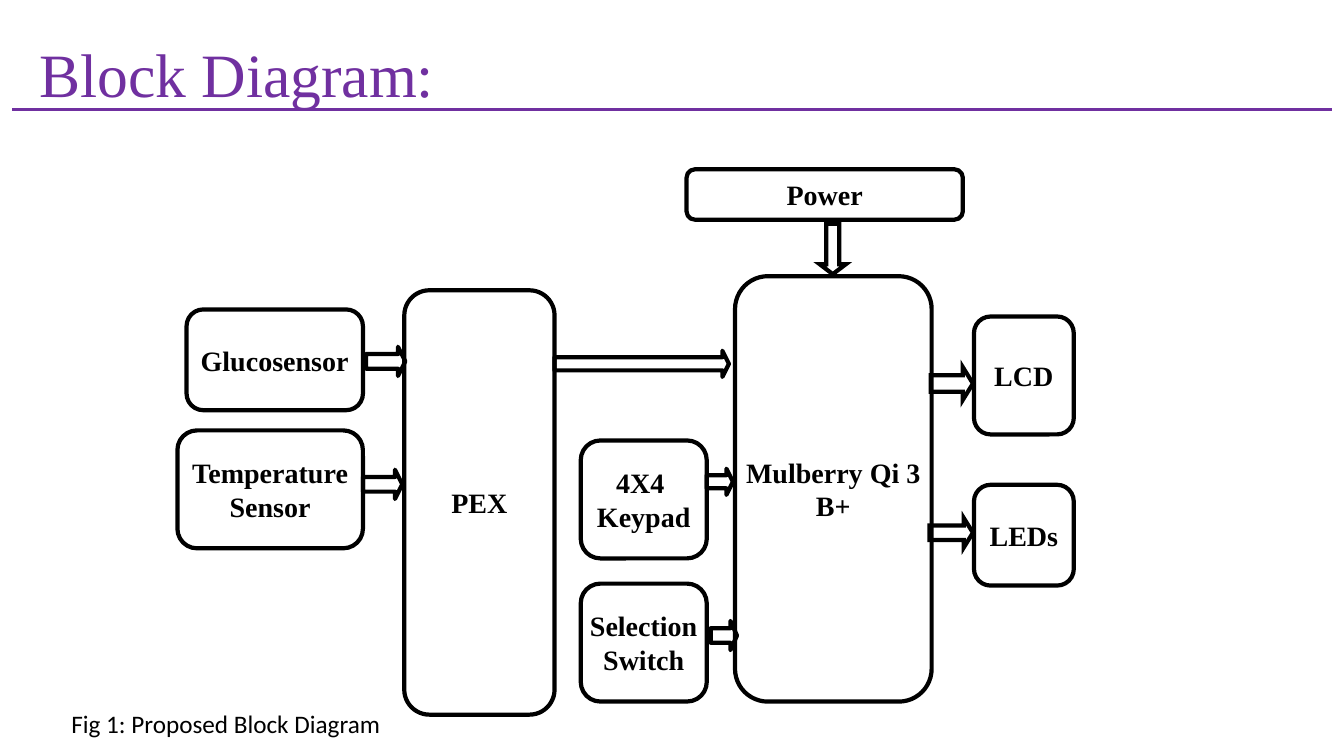
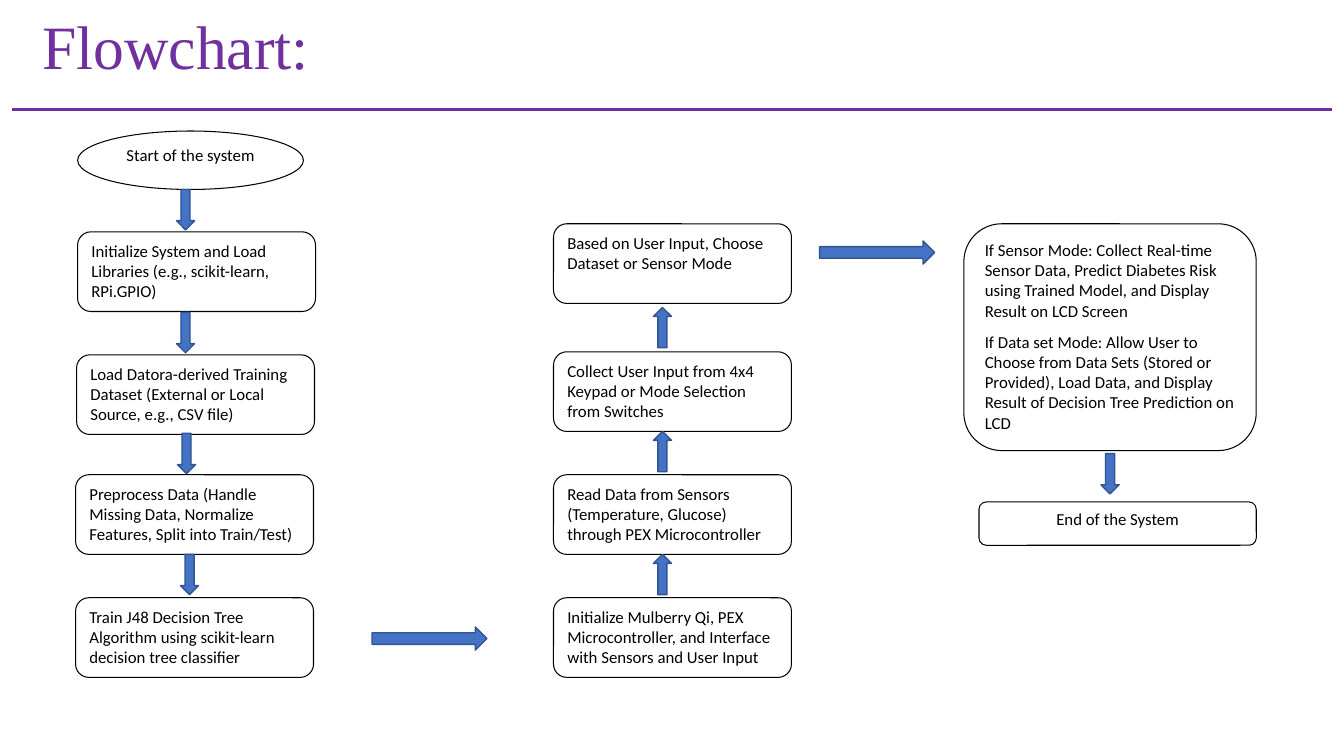
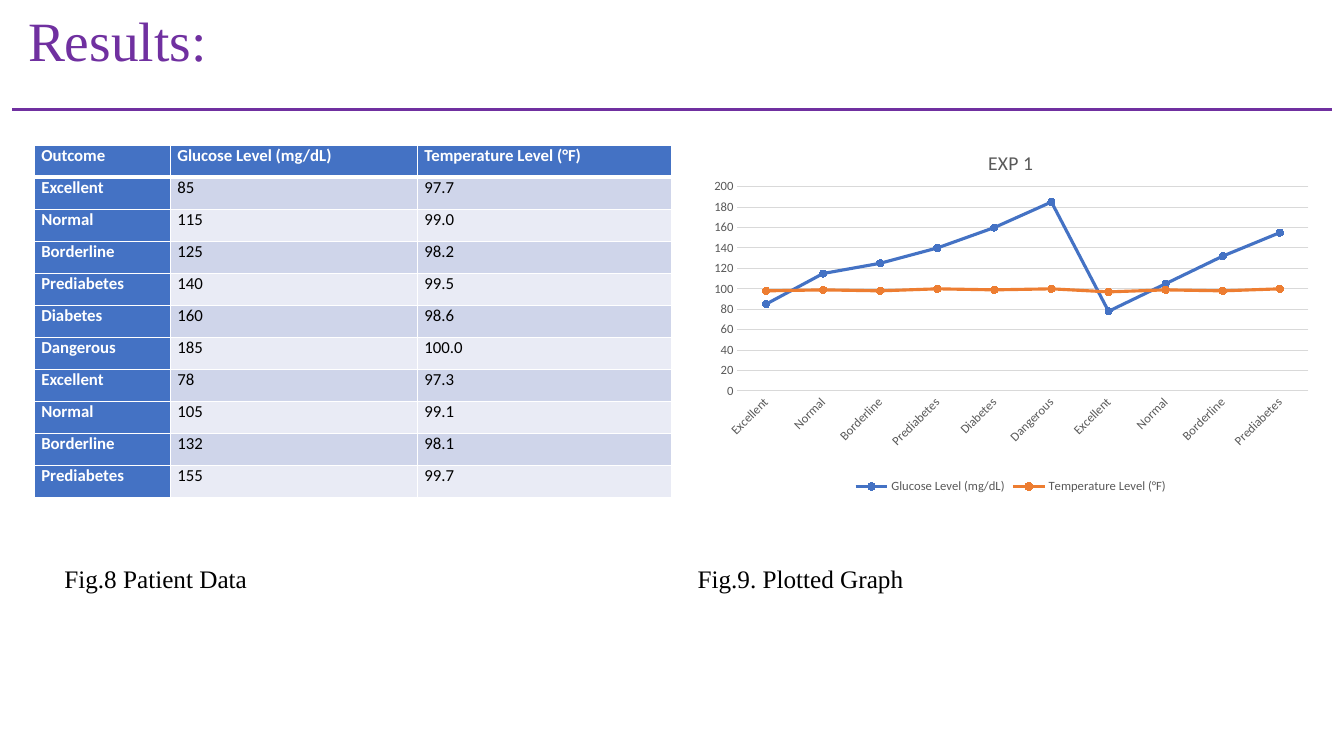
from lxml import etree
from pptx import Presentation
from pptx.chart.data import CategoryChartData
from pptx.dml.color import RGBColor
from pptx.enum.chart import XL_CHART_TYPE, XL_LEGEND_POSITION, XL_MARKER_STYLE, XL_TICK_MARK
from pptx.enum.shapes import MSO_CONNECTOR, MSO_SHAPE
from pptx.enum.text import MSO_ANCHOR, PP_ALIGN
from pptx.oxml import parse_xml
from pptx.oxml.ns import nsdecls, qn
from pptx.util import Inches, Pt

ROUNDED = MSO_SHAPE.ROUNDED_RECTANGLE
OVAL = MSO_SHAPE.OVAL
RIGHT = MSO_SHAPE.RIGHT_ARROW
DOWN = MSO_SHAPE.DOWN_ARROW
UP = MSO_SHAPE.UP_ARROW
STRAIGHT = MSO_CONNECTOR.STRAIGHT
LEFT_ALIGN = PP_ALIGN.LEFT
CENTER = PP_ALIGN.CENTER
TOP = MSO_ANCHOR.TOP
MIDDLE = MSO_ANCHOR.MIDDLE
LINE_MARKERS = XL_CHART_TYPE.LINE_MARKERS
LEGEND_BOTTOM = XL_LEGEND_POSITION.BOTTOM
CIRCLE = XL_MARKER_STYLE.CIRCLE
NO_TICK = XL_TICK_MARK.NONE

SERIF = "Times New Roman"
SANS = "Calibri"
PURPLE = "7030A0"
BLACK = "000000"
WHITE = "FFFFFF"
BLUE = "4472C4"
DARK_BLUE = "325491"
ORANGE = "ED7D31"
GRAY = "595959"
GRID_GRAY = "D9D9D9"
BANDS = ("CFD5EA", "E9EBF5")

HEADINGS = ("Outcome", "Glucose Level (mg/dL)", "Temperature Level (°F)")
READINGS = [
    ("Excellent", 85, 97.7),
    ("Normal", 115, 99.0),
    ("Borderline", 125, 98.2),
    ("Prediabetes", 140, 99.5),
    ("Diabetes", 160, 98.6),
    ("Dangerous", 185, 100.0),
    ("Excellent", 78, 97.3),
    ("Normal", 105, 99.1),
    ("Borderline", 132, 98.1),
    ("Prediabetes", 155, 99.7),
]

BLOCKS = [
    ("Power", 6.81, 1.68, 2.74, 0.5),
    ("LEDs", 9.66, 4.81, 0.99, 1),
    ("LCD", 9.66, 3.14, 0.99, 1.17),
    ("PEX", 4.01, 2.88, 1.49, 4.21),
    ("Glucosensor", 1.85, 3.07, 1.75, 1),
    ("Temperature\nSensor", 1.76, 4.27, 1.84, 1.17),
    ("4X4 \nKeypad", 5.76, 4.37, 1.25, 1.17),
    ("Selection\nSwitch", 5.76, 5.79, 1.25, 1.17),
    ("Mulberry Qi 3\nB+", 7.29, 2.74, 1.95, 4.22),
]
SENSOR_ARROWS = [
    (RIGHT, 3.63, 3.44, 0.39, 0.29, 0.25),
    (RIGHT, 3.6, 4.66, 0.39, 0.29, 0.25),
    (RIGHT, 5.5, 3.48, 1.73, 0.26, 0.25),
    (RIGHT, 7.01, 4.65, 0.26, 0.26, 0.25),
    (RIGHT, 7.05, 6.16, 0.26, 0.29, 0.25),
]
SHARP_ARROWS = [
    (RIGHT, 9.23, 3.64, 0.42, 0.33, 0.31),
    (RIGHT, 9.22, 5.14, 0.43, 0.29, 0.31),
    (DOWN, 8.13, 2.22, 0.26, 0.5, 0.38),
]

TRAINING_STEPS = [
    (0.77, 2.3, "Initialize System and Load Libraries (e.g., scikit-learn, RPi.GPIO)"),
    (0.76, 3.52, "Load Datora-derived Training Dataset (External or Local Source, e.g., CSV file)"),
    (0.75, 4.71, "Preprocess Data (Handle Missing Data, Normalize Features, Split into Train/Test)"),
    (0.75, 5.93, "Train J48 Decision Tree Algorithm using scikit-learn decision tree classifier"),
]
INPUT_STEPS = [
    (2.22, "Based on User Input, Choose Dataset or Sensor Mode"),
    (3.49, "Collect User Input from 4x4 Keypad or Mode Selection from Switches"),
    (4.71, "Read Data from Sensors (Temperature, Glucose) through PEX Microcontroller"),
    (5.93, "Initialize Mulberry Qi, PEX Microcontroller, and Interface with Sensors and User Input"),
]
MODES = (
    "If Sensor Mode: Collect Real-time Sensor Data, Predict Diabetes Risk using "
    "Trained Model, and Display Result on LCD Screen\n"
    "If Data set Mode: Allow User to Choose from Data Sets (Stored or Provided), "
    "Load Data, and Display Result of Decision Tree Prediction on LCD"
)
FLOW_ARROWS = [
    (DOWN, 1.75, 1.88),
    (DOWN, 1.75, 3.1),
    (DOWN, 1.76, 4.3),
    (DOWN, 1.79, 5.5),
    (RIGHT, 3.69, 6.22),
    (UP, 6.48, 5.5),
    (UP, 6.48, 4.28),
    (UP, 6.48, 3.05),
    (RIGHT, 8.13, 2.39),
    (DOWN, 10.92, 4.5),
]


def rgb(value):
    return RGBColor.from_string(value)


def set_font(font, name, size, color, bold=False):
    font.name = name
    font.size = Pt(size)
    font.color.rgb = rgb(color)
    font.bold = bold


def write(frame, text, name, size, color=BLACK, bold=False, align=LEFT_ALIGN, after=0):
    frame.text = text
    for para in frame.paragraphs:
        para.alignment = align
        para.space_after = Pt(after)
        set_font(para.font, name, size, color, bold)


def add_shape(page, kind, place, line, weight, fill=None):
    shape = page.shapes.add_shape(kind, *map(Inches, place))
    shape.shadow.inherit = False
    if fill:
        shape.fill.solid()
        shape.fill.fore_color.rgb = rgb(fill)
    else:
        shape.fill.background()
    shape.line.color.rgb = rgb(line)
    shape.line.width = Pt(weight)
    return shape


def add_text(page, text, place, name, size, color=BLACK):
    box = page.shapes.add_textbox(*map(Inches, place))
    box.text_frame.word_wrap = True
    write(box.text_frame, text, name, size, color)
    return box


def add_page(deck, title, place, size=44):
    page = deck.slides.add_slide(deck.slide_layouts[6])
    ends = map(Inches, (0.12, 1.09, 13.21, 1.09))
    rule = page.shapes.add_connector(STRAIGHT, *ends)
    rule.line.color.rgb = rgb(PURPLE)
    rule.line.width = Pt(2.25)
    etree.SubElement(rule._element.spPr, qn("a:effectLst"))
    frame = add_text(page, title, place, SERIF, size, PURPLE).text_frame
    frame.vertical_anchor = MIDDLE
    frame.paragraphs[0].line_spacing = 0.9
    return page


def add_block(page, text, *place):
    block = add_shape(page, ROUNDED, place, BLACK, 3)
    block.text_frame.word_wrap = False
    write(block.text_frame, text, SERIF, 20, bold=True, align=CENTER)


def add_block_arrow(page, kind, left, top, width, height, head):
    arrow = add_shape(page, kind, (left, top, width, height), BLACK, 3)
    arrow.adjustments[1] = head
    return arrow


def sharpen_corners(shape):
    outline = shape._element.spPr.find(qn("a:ln"))
    etree.SubElement(outline, qn("a:miter")).set("lim", "800000")


def add_step(page, text, place, kind=ROUNDED, align=LEFT_ALIGN):
    step = add_shape(page, kind, place, BLACK, 0.75, WHITE)
    step.text_frame.vertical_anchor = TOP
    write(step.text_frame, text, SANS, 12, align=align, after=8)


def add_flow_arrow(page, kind, left, top):
    size = (1.14, 0.23) if kind == RIGHT else (0.18, 0.4)
    add_shape(page, kind, (left, top, *size), DARK_BLUE, 1, BLUE)


def set_border(cell, side, weight):
    border = parse_xml(
        f'<a:{side} {nsdecls("a")} w="{Pt(weight)}"><a:solidFill>'
        f'<a:srgbClr val="{WHITE}"/></a:solidFill></a:{side}>'
    )
    properties = cell._tc.get_or_add_tcPr()
    fill = properties.find(qn("a:solidFill"))
    fill.addprevious(border)


def add_readings_table(page):
    place = map(Inches, (0.34, 1.44, 6.32, 3.5))
    table = page.shapes.add_table(len(READINGS) + 1, len(HEADINGS), *place).table
    table.first_col = True
    for column, width in zip(table.columns, (1.35, 2.45, 2.52)):
        column.width = Inches(width)
    rows = [HEADINGS] + [(name, str(glucose), f"{heat:.1f}") for name, glucose, heat in READINGS]
    for row_index, row in enumerate(rows):
        for column_index, text in enumerate(row):
            cell = table.cell(row_index, column_index)
            heading = row_index == 0 or column_index == 0
            cell.margin_left = cell.margin_right = Inches(0.07)
            cell.margin_top = cell.margin_bottom = 0
            cell.fill.solid()
            cell.fill.fore_color.rgb = rgb(BLUE if heading else BANDS[(row_index - 1) % 2])
            for side in ("lnL", "lnR"):
                set_border(cell, side, 1)
            set_border(cell, "lnT", 3 if row_index == 1 else 1)
            set_border(cell, "lnB", 3 if row_index == 0 else 1)
            write(cell.text_frame, text, SANS, 12, WHITE if heading else BLACK, heading)


def set_plot_area(chart, left, top, width, height):
    area = chart._chartSpace.chart.plotArea
    for layout in area.findall(qn("c:layout")):
        area.remove(layout)
    area.insert(0, parse_xml(
        f'<c:layout {nsdecls("c")}><c:manualLayout><c:layoutTarget val="inner"/>'
        '<c:xMode val="edge"/><c:yMode val="edge"/>'
        f'<c:x val="{left}"/><c:y val="{top}"/><c:w val="{width}"/><c:h val="{height}"/>'
        '</c:manualLayout></c:layout>'
    ))


def add_readings_chart(page):
    names, *levels = zip(*READINGS)
    data = CategoryChartData()
    data.categories = names
    for heading, values in zip(HEADINGS[1:], levels):
        data.add_series(heading, [round(value) for value in values])
    place = map(Inches, (6.91, 1.32, 6.23, 3.62))
    chart = page.shapes.add_chart(LINE_MARKERS, *place, data).chart
    set_font(chart.font, SANS, 10, BLACK)
    chart.has_title = True
    write(chart.chart_title.text_frame, "EXP 1", SANS, 14, GRAY)
    chart.chart_title.include_in_layout = False
    chart.has_legend = True
    chart.legend.position = LEGEND_BOTTOM
    chart.legend.include_in_layout = False
    set_font(chart.legend.font, SANS, 9, GRAY)
    set_plot_area(chart, 0.065, 0.147, 0.909, 0.56)

    for axis in (chart.category_axis, chart.value_axis):
        axis.major_tick_mark = axis.minor_tick_mark = NO_TICK
        set_font(axis.tick_labels.font, SANS, 9, GRAY)
    names_line = chart.category_axis.format.line
    names_line.color.rgb = rgb(GRID_GRAY)
    names_line.width = Pt(0.75)
    chart.category_axis._element.txPr.bodyPr.set("rot", "-2700000")
    scale = chart.value_axis
    scale.minimum_scale, scale.maximum_scale, scale.major_unit = 0, 200, 20
    scale.format.line.fill.background()
    scale.major_gridlines.format.line.color.rgb = rgb(GRID_GRAY)
    scale.major_gridlines.format.line.width = Pt(0.75)

    plot = chart.plots[0]
    plot.vary_by_categories = False
    for series, color in zip(plot.series, (BLUE, ORANGE)):
        series.smooth = False
        series.format.line.color.rgb = rgb(color)
        series.format.line.width = Pt(2.25)
        series.marker.style = CIRCLE
        series.marker.size = 5
        series.marker.format.fill.solid()
        series.marker.format.fill.fore_color.rgb = rgb(color)
        series.marker.format.line.color.rgb = rgb(color)


def build_block_diagram(deck):
    page = add_page(deck, "Block Diagram:", (0.29, 0.3, 12.16, 0.94))
    for block in BLOCKS:
        add_block(page, *block)
    for arrow in SENSOR_ARROWS:
        add_block_arrow(page, *arrow)
    for arrow in SHARP_ARROWS:
        sharpen_corners(add_block_arrow(page, *arrow))
    add_text(page, "Fig 1: Proposed Block Diagram", (0.61, 6.98, 6.66, 0.4), SANS, 18)


def build_flowchart(deck):
    page = add_page(deck, "Flowchart:", (0.32, 0.1, 11.5, 0.78))
    add_step(page, "Start of the system", (0.77, 1.3, 2.24, 0.58), OVAL, CENTER)
    for left, top, text in TRAINING_STEPS:
        add_step(page, text, (left, top, 2.36, 0.79))
    for top, text in INPUT_STEPS:
        add_step(page, text, (5.49, top, 2.36, 0.79))
    add_step(page, MODES, (9.56, 2.22, 2.9, 2.25))
    add_step(page, "End of the System", (9.71, 4.98, 2.75, 0.43), align=CENTER)
    for arrow in FLOW_ARROWS:
        add_flow_arrow(page, *arrow)


def build_results(deck):
    page = add_page(deck, "Results:", (0.18, 0.04, 11.5, 0.78), 39.6)
    add_text(page, "Fig.8 Patient Data", (0.54, 5.54, 2.96, 0.4), SERIF, 18)
    add_text(page, "Fig.9. Plotted Graph", (6.82, 5.54, 5.7, 0.4), SERIF, 18)
    add_readings_table(page)
    add_readings_chart(page)


def main():
    deck = Presentation()
    deck.slide_width = Inches(13.33)
    deck.slide_height = Inches(7.5)
    build_block_diagram(deck)
    build_flowchart(deck)
    build_results(deck)
    deck.save("out.pptx")


if __name__ == "__main__":
    main()
